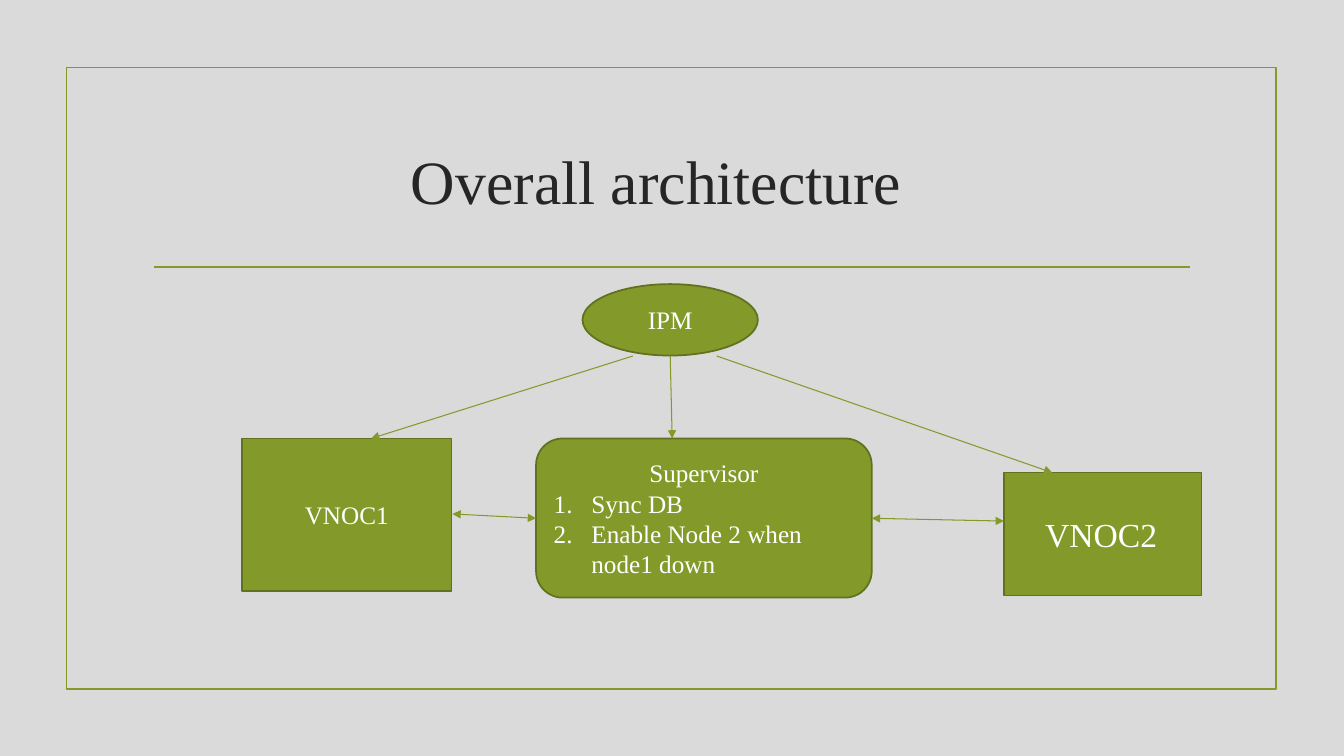
"""Build the overall architecture slide."""
from dataclasses import dataclass

from lxml.etree import SubElement
from pptx import Presentation
from pptx.dml.color import RGBColor
from pptx.enum.shapes import MSO_CONNECTOR, MSO_SHAPE
from pptx.enum.text import MSO_ANCHOR, PP_ALIGN
from pptx.oxml.ns import qn
from pptx.slide import Slide
from pptx.text.text import TextFrame
from pptx.util import Cm, Pt

FONT = "Times New Roman"
GREEN, DARK_GREEN = "83992A", "61711F"
WHITE, INK, BACKGROUND = "FFFFFF", "262626", "DADADA"


@dataclass(frozen=True)
class Node:
    """A labelled shape, measured in centimetres."""
    preset: MSO_SHAPE
    left: float
    top: float
    width: float
    height: float
    label: str
    steps: tuple[str, ...] = ()
    size: int = 18
    align: PP_ALIGN = PP_ALIGN.CENTER
    inset: float = 0.25


@dataclass(frozen=True)
class Link:
    """A straight line between two points in centimetres."""
    start: tuple[float, float]
    end: tuple[float, float]
    ends: tuple[str, ...] = ("tailEnd",)
    weight: float = 0.75


BOTH_ENDS = ("headEnd", "tailEnd")

NODES = (
    Node(MSO_SHAPE.RECTANGLE, 6.1, 11.05, 5.28, 3.84, "VNOC1"),
    Node(MSO_SHAPE.RECTANGLE, 25.3, 11.91, 4.98, 3.1, "VNOC2",
         size=24, align=PP_ALIGN.LEFT, inset=1.04),
    Node(MSO_SHAPE.ROUNDED_RECTANGLE, 13.51, 11.05, 8.46, 4.01, "Supervisor",
         steps=("Sync DB", "Enable Node 2 when node1 down")),
    Node(MSO_SHAPE.OVAL, 14.68, 7.16, 4.42, 1.8, "IPM"),
)

LINKS = (
    Link((3.89, 6.73), (30, 6.73), ends=(), weight=1.25),
    Link((15.95, 8.97), (9.35, 11.05)),
    Link((16.89, 8.97), (16.94, 11.05)),
    Link((18.06, 8.97), (26.52, 11.91)),
    Link((11.4, 12.95), (13.51, 13.06), BOTH_ENDS),
    Link((21.97, 13.06), (25.3, 13.13), BOTH_ENDS),
)


def color(value: str) -> RGBColor:
    """Turn a hex string into a colour."""
    return RGBColor.from_string(value)


def write(frame: TextFrame, text: str, size: int, ink: str, align: PP_ALIGN) -> None:
    """Write the first paragraph of a vertically centred frame."""
    frame.word_wrap = True
    frame.vertical_anchor = MSO_ANCHOR.MIDDLE
    para = frame.paragraphs[0]
    para.text = text
    para.alignment = align
    para.font.name = FONT
    para.font.size = Pt(size)
    para.font.color.rgb = color(ink)


def add_step(frame: TextFrame, text: str, size: int) -> None:
    """Add one automatically numbered paragraph."""
    para = frame.add_paragraph()
    para.text = text
    para.alignment = PP_ALIGN.LEFT
    para.font.name = FONT
    para.font.size = Pt(size)
    para.font.color.rgb = color(WHITE)
    properties = para._p.get_or_add_pPr()
    properties.set("marL", str(Cm(0.95)))
    properties.set("indent", str(-Cm(0.95)))
    numbering = SubElement(properties, qn("a:buFont"))
    numbering.set("typeface", "+mj-lt")
    SubElement(properties, qn("a:buAutoNum")).set("type", "arabicPeriod")


def add_frame(page: Slide) -> None:
    """Draw the border around the slide content."""
    border = page.shapes.add_shape(
        MSO_SHAPE.RECTANGLE, Cm(1.68), Cm(1.7), Cm(30.48), Cm(15.67))
    border.shadow.inherit = False
    border.fill.background()
    border.line.color.rgb = color(GREEN)
    border.line.width = Pt(1.25)


def add_title(page: Slide, text: str) -> None:
    """Add the slide title."""
    box = page.shapes.add_textbox(Cm(3.61), Cm(2.72), Cm(26.67), Cm(3.63))
    box.text_frame.margin_right = Cm(1.05)
    write(box.text_frame, text, 44, INK, PP_ALIGN.CENTER)


def add_node(page: Slide, node: Node) -> None:
    """Draw one node with its label and numbered steps."""
    box = page.shapes.add_shape(
        node.preset, Cm(node.left), Cm(node.top), Cm(node.width), Cm(node.height))
    box.shadow.inherit = False
    box.fill.solid()
    box.fill.fore_color.rgb = color(GREEN)
    box.line.color.rgb = color(DARK_GREEN)
    box.line.width = Pt(1.25)
    box.text_frame.margin_left = Cm(node.inset)
    write(box.text_frame, node.label, node.size, WHITE, node.align)
    for step in node.steps:
        add_step(box.text_frame, step, node.size)


def add_link(page: Slide, link: Link) -> None:
    """Draw one line with its arrowheads."""
    line = page.shapes.add_connector(
        MSO_CONNECTOR.STRAIGHT, *map(Cm, link.start + link.end))
    line.line.color.rgb = color(GREEN)
    line.line.width = Pt(link.weight)
    outline = line.line._get_or_add_ln()
    for end in link.ends:
        SubElement(outline, qn(f"a:{end}")).set("type", "triangle")
    SubElement(line._element.spPr, qn("a:effectLst"))


def main() -> None:
    """Build and save the deck."""
    deck = Presentation()
    deck.slide_width, deck.slide_height = Cm(33.87), Cm(19.05)
    page = deck.slides.add_slide(deck.slide_layouts[6])
    page.background.fill.solid()
    page.background.fill.fore_color.rgb = color(BACKGROUND)
    add_frame(page)
    add_title(page, "Overall architecture")
    for node in NODES:
        add_node(page, node)
    for link in LINKS:
        add_link(page, link)
    deck.save("out.pptx")


if __name__ == "__main__":
    main()
